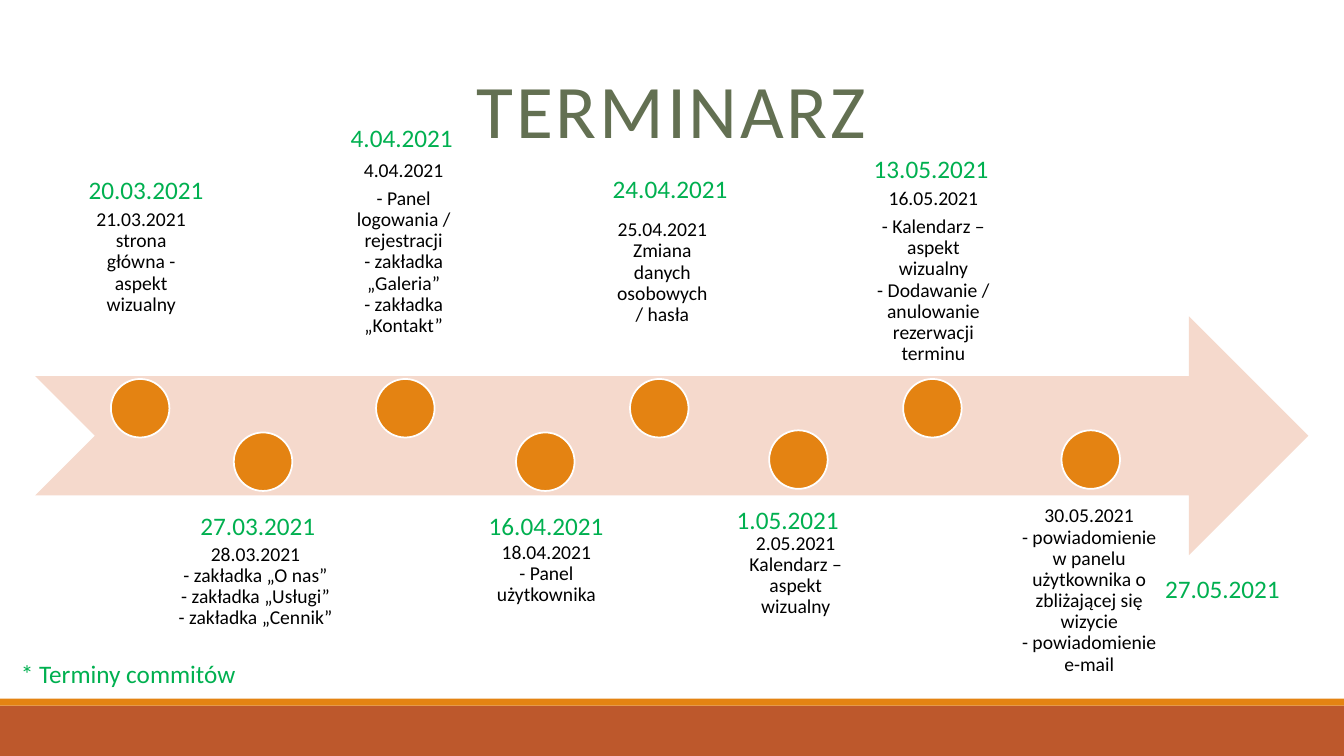
from lxml.etree import SubElement
from pptx import Presentation
from pptx.dml.color import RGBColor
from pptx.enum.shapes import MSO_SHAPE
from pptx.enum.text import MSO_ANCHOR, PP_ALIGN
from pptx.oxml.ns import qn
from pptx.util import Pt

COLORS = {"orange": "E48312", "rust": "BD582C", "peach": "F5D9CC", "white": "FFFFFF",
          "olive": "637052", "green": "00B050", "black": "000000"}
DOT = 41.8
STEPS = [
    ("20.03.2021", (56.2, 121), (59.8, 122.4, 82.1, 110.9), (79.2, 270.7),
     ["21.03.2021\nstrona główna - aspekt wizualny"]),
    ("27.03.2021", (136.1, 360.7), (118.1, 380.9, 128.9, 126.7), (167, 308.9),
     ["28.03.2021\n- zakładka „O nas”\n- zakładka „Usługi”\n- zakładka „Cennik”"]),
    ("4.04.2021", (243.4, 83.5), (241.2, 104.4, 94.3, 144), (268.6, 270.7),
     ["4.04.2021",
      "- Panel logowania / rejestracji\n- zakładka „Galeria”\n- zakładka „Kontakt”"]),
    ("16.04.2021", (342, 360.7), (344.2, 379.4, 92.2, 64.1), (368.6, 308.9),
     ["18.04.2021\n- Panel użytkownika"]),
    ("24.04.2021", (430.6, 120.2), (430.6, 107.3, 85, 133.2), (450, 270.7),
     ["25.04.2021\nZmiana danych osobowych / hasła"]),
    ("1.05.2021", (519.1, 356.4), (523.4, 373, 90, 69.8), (549.4, 307.4),
     ["2.05.2021\nKalendarz – aspekt wizualny"]),
    ("13.05.2021", (617, 105.8), (617.8, 97.9, 97.9, 170.6), (645.1, 270.7),
     ["16.05.2021",
      "- Kalendarz – aspekt wizualny\n- Dodawanie / anulowanie rezerwacji terminu"]),
    ("27.05.2021", (825.1, 406.1), (718.6, 353.5, 118.8, 170.6), (758.2, 307.4),
     ["30.05.2021\n- powiadomienie w panelu użytkownika o zbliżającej się wizycie\n"
      "- powiadomienie e-mail"]),
]


def paint(name):
    return RGBColor.from_string(COLORS[name])


def write(para, text, *, font, size, color, align=PP_ALIGN.LEFT, line=1.0, after=0, track=0):
    para.text = text
    para.alignment = align
    para.line_spacing = line
    para.space_after = Pt(after)
    for run in para.runs:
        run.font.name = font
        run.font.size = Pt(size)
        run.font.color.rgb = paint(color)
        if track:
            run.font._element.set("spc", str(track * 100))
    for gap in para._p.findall(qn("a:br")):
        SubElement(gap, qn("a:rPr")).set("sz", str(size * 100))


class Deck:
    font = "Calibri"

    def __init__(self, slide):
        self.slide = slide

    def shape(self, kind, box, fill, edge=None):
        item = self.slide.shapes.add_shape(kind, *map(Pt, box))
        item.shadow.inherit = False
        item.fill.solid()
        item.fill.fore_color.rgb = paint(fill)
        if edge:
            item.line.color.rgb = paint(edge)
            item.line.width = Pt(1.25)
        else:
            item.line.fill.background()

    def text(self, box, parts, inset=None, anchor=MSO_ANCHOR.TOP, wrap=True, **style):
        frame = self.slide.shapes.add_textbox(*map(Pt, box)).text_frame
        frame.word_wrap = wrap
        frame.vertical_anchor = anchor
        if inset:
            frame.margin_left = frame.margin_right = Pt(inset)
            frame.margin_top = frame.margin_bottom = Pt(inset)
        for i, part in enumerate(parts):
            para = frame.add_paragraph() if i else frame.paragraphs[0]
            write(para, part, font=self.font, **style)

    def title(self, text):
        self.text((332.6, 49, 294.5, 49), [text], wrap=False, size=54, color="olive",
                  align=PP_ALIGN.CENTER, line=0.9, after=2, track=2)

    def date(self, spot, text, width=98.6):
        self.text((*spot, width, 28.8), [text], size=18, color="green")

    def task(self, box, parts, above):
        anchor = MSO_ANCHOR.BOTTOM if above else MSO_ANCHOR.TOP
        self.text(box, parts, inset=7.84, anchor=anchor, size=14, color="black",
                  align=PP_ALIGN.CENTER, line=0.9, after=4.9)

    def dot(self, spot):
        self.shape(MSO_SHAPE.OVAL, (*spot, DOT, DOT), "orange", "white")


def main():
    show = Presentation()
    show.slide_width, show.slide_height = Pt(960), Pt(540)
    deck = Deck(show.slides.add_slide(show.slide_layouts[6]))
    deck.shape(MSO_SHAPE.RECTANGLE, (0, 504, 960, 36), "rust")
    deck.shape(MSO_SHAPE.RECTANGLE, (0, 499, 960, 5), "orange")
    deck.title("TERMINARZ")
    deck.shape(MSO_SHAPE.NOTCHED_RIGHT_ARROW, (25.2, 226, 909.4, 170.6), "peach")
    for i, (day, mark, box, spot, parts) in enumerate(STEPS):
        deck.task(box, parts, above=i % 2 == 0)
        deck.dot(spot)
        deck.date(mark, day)
    deck.date((7.9, 466.6), "* Terminy commitów", width=175)
    show.save("out.pptx")


if __name__ == "__main__":
    main()
